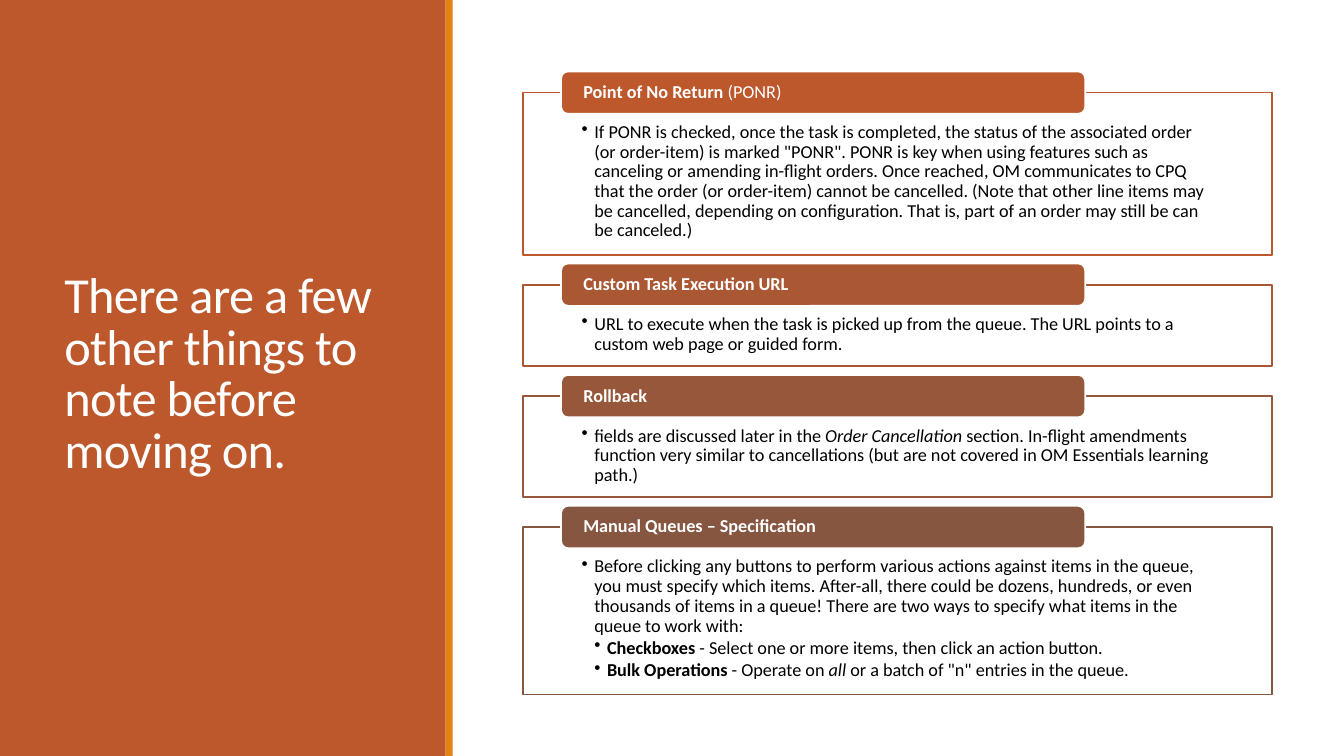
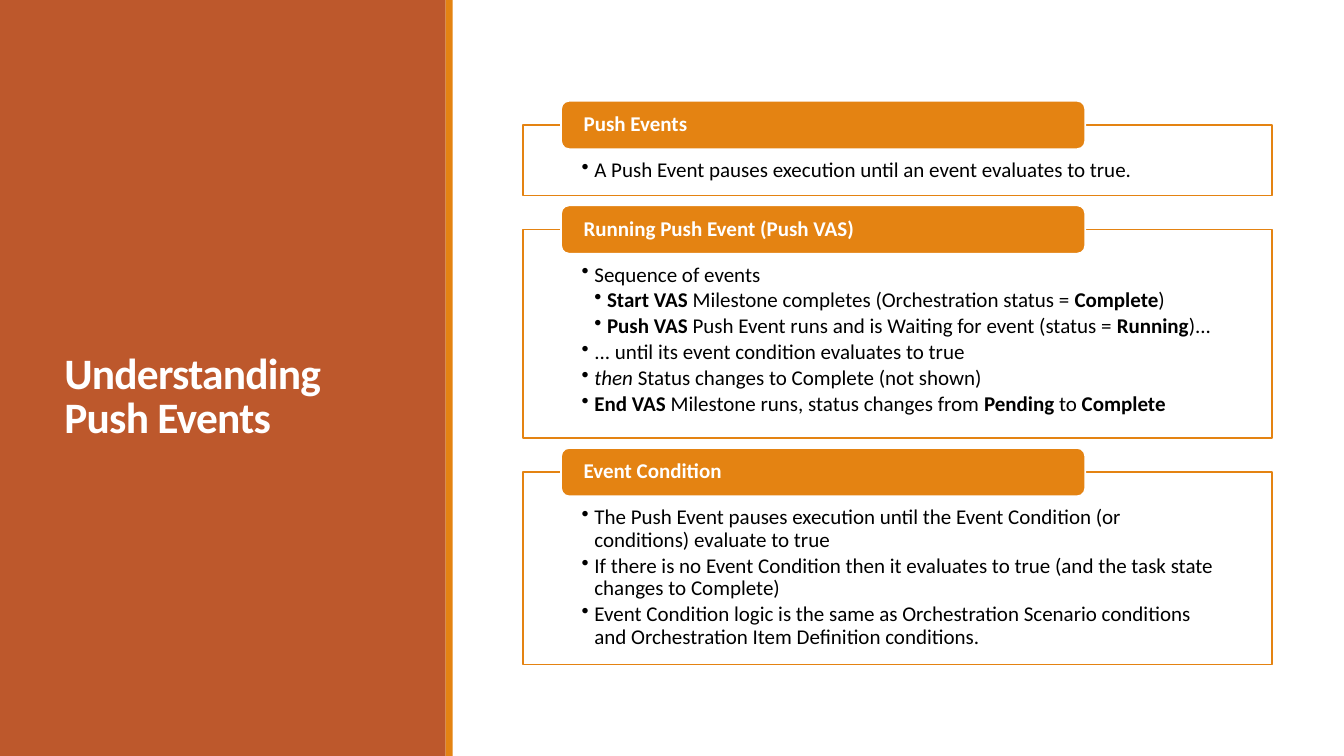
from lxml import etree
from pptx import Presentation
from pptx.dml.color import RGBColor
from pptx.enum.shapes import MSO_SHAPE
from pptx.enum.text import MSO_ANCHOR, MSO_AUTO_SIZE, PP_ALIGN
from pptx.oxml.ns import qn
from pptx.util import Cm, Pt

RECT, ROUND = MSO_SHAPE.RECTANGLE, MSO_SHAPE.ROUNDED_RECTANGLE
TOP, MIDDLE = MSO_ANCHOR.TOP, MSO_ANCHOR.MIDDLE
LEFT, FIXED = PP_ALIGN.LEFT, MSO_AUTO_SIZE.NONE

FONT = "Calibri"
RUST, AMBER, WHITE, BLACK = "BD582C", "E48312", "FFFFFF", "000000"
WIDE, HIGH = 33.87, 19.05
PANEL = 11.23
CARDS = 13.19, 18.87    # left and width of the card column
INDENT = 0.32

# Text marks: *bold* and _italic_. A leading ">" makes a second-level bullet.
# Each card: header, frame height, colour, bullets
NOTES = [
    ("*Point of No Return* (PONR)", 4.09, RUST, [
        "If PONR is checked, once the task is completed, the status of the "
        "associated order (or order-item) is marked \"PONR\". PONR is key when "
        "using features such as canceling or amending in-flight orders. Once "
        "reached, OM communicates to CPQ that the order (or order-item) cannot "
        "be cancelled. (Note that other line items may be cancelled, depending "
        "on configuration. That is, part of an order may still be can be "
        "canceled.)"]),
    ("*Custom Task Execution URL*", 2.06, "AA5834", [
        "URL to execute when the task is picked up from the queue. The URL "
        "points to a custom web page or guided form."]),
    ("*Rollback*", 2.55, "97573A", [
        "fields are discussed later in the _Order Cancellation_ section. "
        "In-flight amendments function very similar to cancellations (but are "
        "not covered in OM Essentials learning path.)"]),
    ("*Manual Queues – Specification*", 4.22, "865640", [
        "Before clicking any buttons to perform various actions against items "
        "in the queue, you must specify which items. After-all, there could be "
        "dozens, hundreds, or even thousands of items in a queue! There are "
        "two ways to specify what items in the queue to work with:",
        ">*Checkboxes* - Select one or more items, then click an action button.",
        ">*Bulk Operations* - Operate on _all_ or a batch of \"n\" entries in "
        "the queue."]),
]
EVENTS = [
    ("*Push Events*", 1.78, AMBER, [
        "A Push Event pauses execution until an event evaluates to true."]),
    ("*Running Push Event (Push VAS)*", 5.26, AMBER, [
        "Sequence of events",
        ">*Start VAS* Milestone completes (Orchestration status = *Complete*)",
        ">*Push VAS* Push Event runs and is Waiting for event "
        "(status = *Running*)...",
        "... until its event condition evaluates to true",
        "_then_ Status changes to Complete (not shown)",
        "*End VAS* Milestone runs, status changes from *Pending* to "
        "*Complete*"]),
    ("*Event Condition*", 4.85, AMBER, [
        "The Push Event pauses execution until the Event Condition (or "
        "conditions) evaluate to true",
        "If there is no Event Condition then it evaluates to true (and the "
        "task state changes to Complete)",
        "Event Condition logic is the same as Orchestration Scenario "
        "conditions and Orchestration Item Definition conditions."]),
]


def color(code):
    return RGBColor.from_string(code)


def block(slide, kind, box, fill, line=None):
    shape = slide.shapes.add_shape(kind, *map(Cm, box))
    shape.shadow.inherit = False
    shape.fill.solid()
    shape.fill.fore_color.rgb = color(fill)
    if line:
        shape.line.color.rgb = color(line)
        shape.line.width = Pt(1.25)
    else:
        shape.line.fill.background()
    return shape


def style(para, size, ink, pitch):
    para.alignment = LEFT
    para.line_spacing = pitch
    font = para.font
    font.name, font.size, font.color.rgb = FONT, Pt(size), color(ink)


def write(para, text):
    """Add runs, switching bold at each * and italic at each _."""
    for i, part in enumerate(text.split("*")):
        for j, bit in enumerate(part.split("_")):
            if bit:
                run = para.add_run()
                run.text = bit
                if i % 2:
                    run.font.bold = True
                if j % 2:
                    run.font.italic = True


def inset(frame, side, top, anchor):
    frame.word_wrap = True
    frame.margin_left = frame.margin_right = Cm(side)
    frame.margin_top, frame.margin_bottom = Cm(top), 0
    frame.vertical_anchor = anchor


def bullet(para, level):
    props = para._p.get_or_add_pPr()
    props.set("marL", str(Cm(INDENT * level)))
    props.set("indent", str(-Cm(INDENT)))
    etree.SubElement(props, qn("a:buChar")).set("char", "•")


def card(slide, top, tab, size, head, tall, hue, items):
    """Draw a framed list with its header tab across the upper edge."""
    left, width = CARDS
    frame = block(slide, RECT, (left, top + tab / 2, width, tall), WHITE, hue)
    text = frame.text_frame
    inset(text, 1.47, 0.71 * tab, TOP)
    for i, item in enumerate(items):
        para = text.add_paragraph() if i else text.paragraphs[0]
        style(para, size, BLACK, 0.9)
        para.space_after = Pt(0.15 * size)
        bullet(para, 2 if item.startswith(">") else 1)
        write(para, item.lstrip(">"))

    label = block(slide, ROUND, (left + 0.95, top, 0.7 * width, tab), hue, WHITE)
    inset(label.text_frame, 0.51, 0, MIDDLE)
    para = label.text_frame.paragraphs[0]
    style(para, size, WHITE, 0.9)
    write(para, head)


def stack(slide, top, tab, size, cards):
    for head, tall, hue, items in cards:
        card(slide, top, tab, size, head, tall, hue, items)
        top += tab / 2 + tall + 0.2 * tab


def heading(slide, text, size, drop=0):
    """Fill the title; drop is extra room above it."""
    frame = slide.shapes.title.text_frame
    inset(frame, 0.25, drop, MIDDLE)
    frame.auto_size = FIXED
    para = frame.paragraphs[0]
    style(para, size, WHITE, 0.85)
    write(para, text)
    for run in para.runs:
        run._r.get_or_add_rPr().set("spc", "-50")


def theme(layout, slide):
    """Put the side panel and title place on the shared layout."""
    bands = [((0, 0, PANEL, HIGH), RUST), ((PANEL, 0, 0.18, HIGH), AMBER)]
    for i, (box, fill) in enumerate(bands):
        layout.shapes.element.insert(2 + i, block(slide, RECT, box, fill).element)
    title = layout.placeholders[0]
    title.left, title.top = Cm(1.37), Cm(1.45)
    title.width, title.height = Cm(8.56), Cm(16.03)


def main():
    deck = Presentation()
    deck.slide_width, deck.slide_height = Cm(WIDE), Cm(HIGH)
    layout = deck.slide_layouts[5]

    # Other things to note
    notes = deck.slides.add_slide(layout)
    theme(layout, notes)
    heading(notes, "There are a few other things to note before moving on.", 36)
    stack(notes, 1.8, 1.07, 13, NOTES)

    # Push events
    events = deck.slides.add_slide(layout)
    heading(events, "*Understanding Push Events*", 31, 1.13)
    stack(events, 2.54, 1.22, 15, EVENTS)

    deck.save("out.pptx")


if __name__ == "__main__":
    main()
